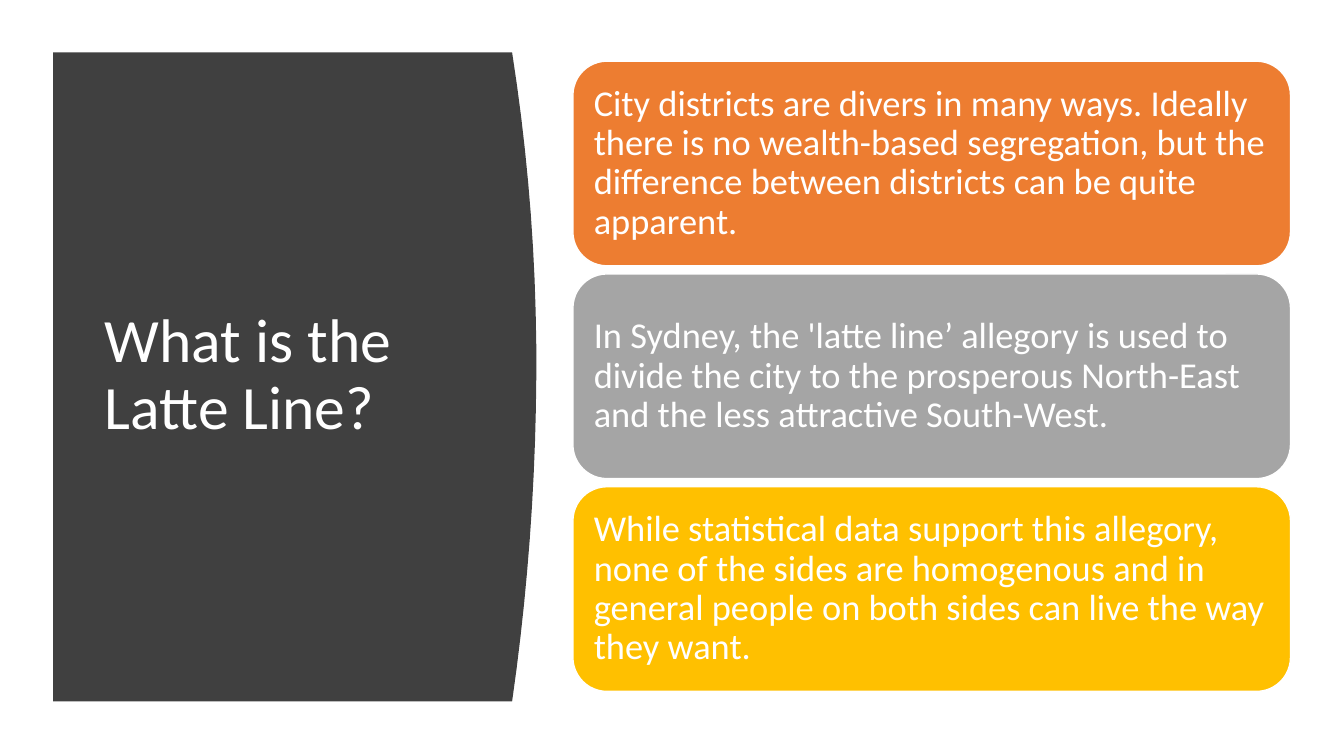
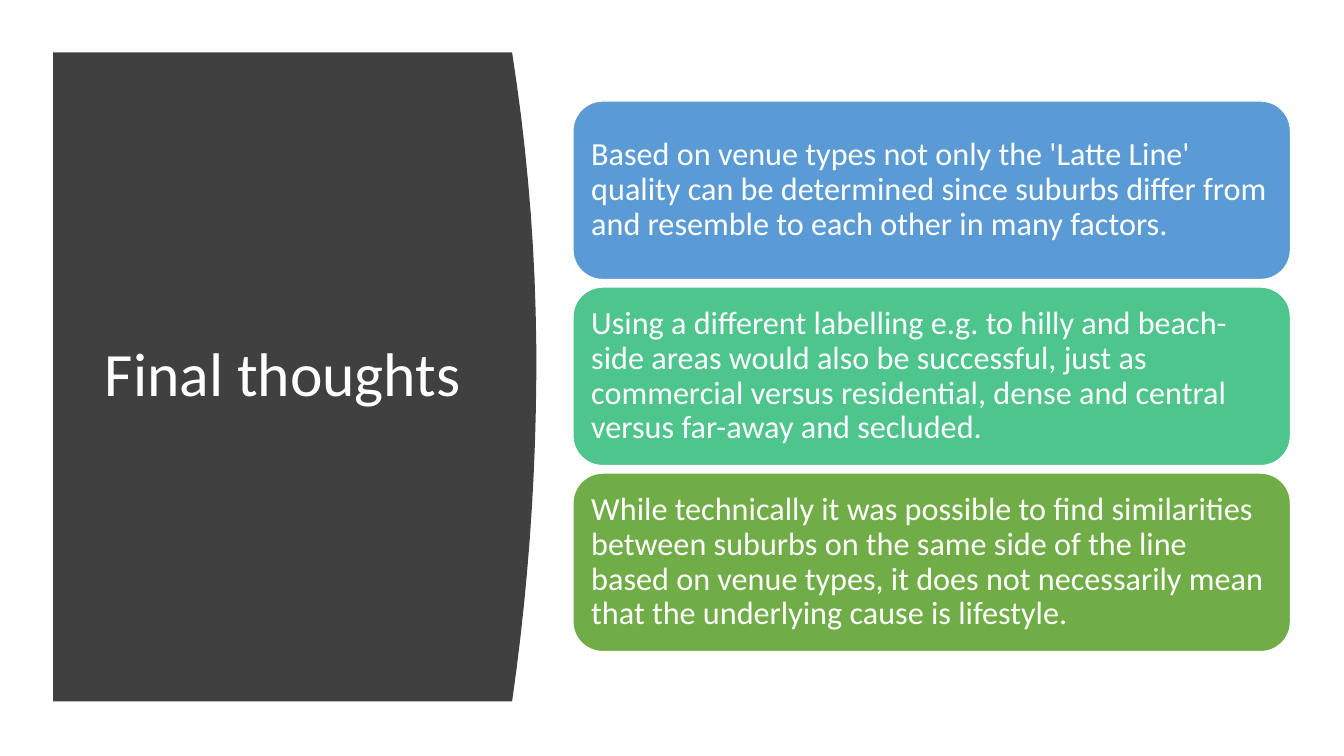
from pptx import Presentation
from pptx.dml.color import RGBColor
from pptx.enum.shapes import MSO_SHAPE
from pptx.enum.text import MSO_ANCHOR, MSO_AUTO_SIZE, PP_ALIGN
from pptx.util import Pt

ROUNDED = MSO_SHAPE.ROUNDED_RECTANGLE
MIDDLE = MSO_ANCHOR.MIDDLE
LEFT = PP_ALIGN.LEFT
NO_AUTOFIT = MSO_AUTO_SIZE.NONE

FONT = "Calibri"
WHITE = RGBColor(0xFF, 0xFF, 0xFF)
CHARCOAL = RGBColor(0x40, 0x40, 0x40)
ORANGE = RGBColor(0xED, 0x7D, 0x31)
GREY = RGBColor(0xA5, 0xA5, 0xA5)
GOLD = RGBColor(0xFF, 0xC0, 0x00)
BLUE = RGBColor(0x5B, 0x9B, 0xD5)
TEAL = RGBColor(0x4D, 0xC5, 0x8D)
GREEN = RGBColor(0x70, 0xAD, 0x47)

PANEL_LEFT, PANEL_TOP, PANEL_BOTTOM = 38, 37.4, 501.1
PANEL_CORNER, PANEL_BULGE, BULGE_Y = 365.8, 17.3, 259
CURVE_STEPS = 20
CARD_LEFT, CARD_WIDTH, CARDS_MIDDLE = 409.2, 512.6, 268.8

SLIDES = [
    ("What is the Latte Line?", 26, 146.2, 5.8, [
        (ORANGE, "City districts are divers in many ways. Ideally there is no "
                 "wealth-based segregation, but the difference between "
                 "districts can be quite apparent."),
        (GREY, "In Sydney, the 'latte line’ allegory is used to divide the city "
               "to the prosperous North-East and the less attractive South-West."),
        (GOLD, "While statistical data support this allegory, none of the sides "
               "are homogenous and in general people on both sides can live the "
               "way they want."),
    ]),
    ("Final thoughts", 23, 127.6, 5.3, [
        (BLUE, "Based on venue types not only the 'Latte Line' quality can be "
               "determined since suburbs differ from and resemble to each other "
               "in many factors."),
        (TEAL, "Using a different labelling e.g. to hilly and beach-side areas "
               "would also be successful, just as commercial versus residential, "
               "dense and central versus far-away and secluded."),
        (GREEN, "While technically it was possible to find similarities between "
                "suburbs on the same side of the line based on venue types, it "
                "does not necessarily mean that the underlying cause is "
                "lifestyle."),
    ]),
]


def set_text(shape, text, size):
    frame = shape.text_frame
    frame.text = text
    frame.word_wrap = True
    frame.auto_size = NO_AUTOFIT
    frame.vertical_anchor = MIDDLE
    paragraph = frame.paragraphs[0]
    paragraph.alignment = LEFT
    paragraph.line_spacing = 0.9
    paragraph.font.name = FONT
    paragraph.font.size = Pt(size)
    paragraph.font.color.rgb = WHITE
    return frame


curve = []
for step in range(CURVE_STEPS + 1):
    y = PANEL_TOP + (PANEL_BOTTOM - PANEL_TOP) * step / CURVE_STEPS
    end = PANEL_TOP if y < BULGE_Y else PANEL_BOTTOM
    away = (y - BULGE_Y) / (end - BULGE_Y)
    curve.append((Pt(PANEL_CORNER + PANEL_BULGE * (1 - away ** 2)), Pt(y)))

prs = Presentation()
prs.slide_width, prs.slide_height = Pt(960), Pt(540)
title_only = prs.slide_layouts[5]

for heading, size, card_height, gap, cards in SLIDES:
    slide = prs.slides.add_slide(title_only)
    title = slide.shapes.title
    title.left, title.top = Pt(67.7), Pt(80)
    title.width, title.height = Pt(269.3), Pt(377.3)
    set_text(title, heading, 44)

    outline = slide.shapes.build_freeform(Pt(PANEL_LEFT), Pt(PANEL_TOP))
    outline.add_line_segments(curve + [(Pt(PANEL_LEFT), Pt(PANEL_BOTTOM))])
    panel = outline.convert_to_shape()
    panel.shadow.inherit = False
    panel.fill.solid()
    panel.fill.fore_color.rgb = CHARCOAL
    panel.line.fill.background()
    title.element.addprevious(panel.element)

    pitch = card_height + gap
    first_top = CARDS_MIDDLE - (len(cards) * pitch - gap) / 2
    for index, (color, statement) in enumerate(cards):
        card = slide.shapes.add_shape(
            ROUNDED, Pt(CARD_LEFT), Pt(first_top + index * pitch),
            Pt(CARD_WIDTH), Pt(card_height))
        card.shadow.inherit = False
        card.fill.solid()
        card.fill.fore_color.rgb = color
        card.line.color.rgb = WHITE
        card.line.width = Pt(1)
        frame = set_text(card, statement, size)
        inset = Pt(size * 0.3)
        frame.margin_left = frame.margin_right = inset
        frame.margin_top = frame.margin_bottom = inset

prs.save("out.pptx")
